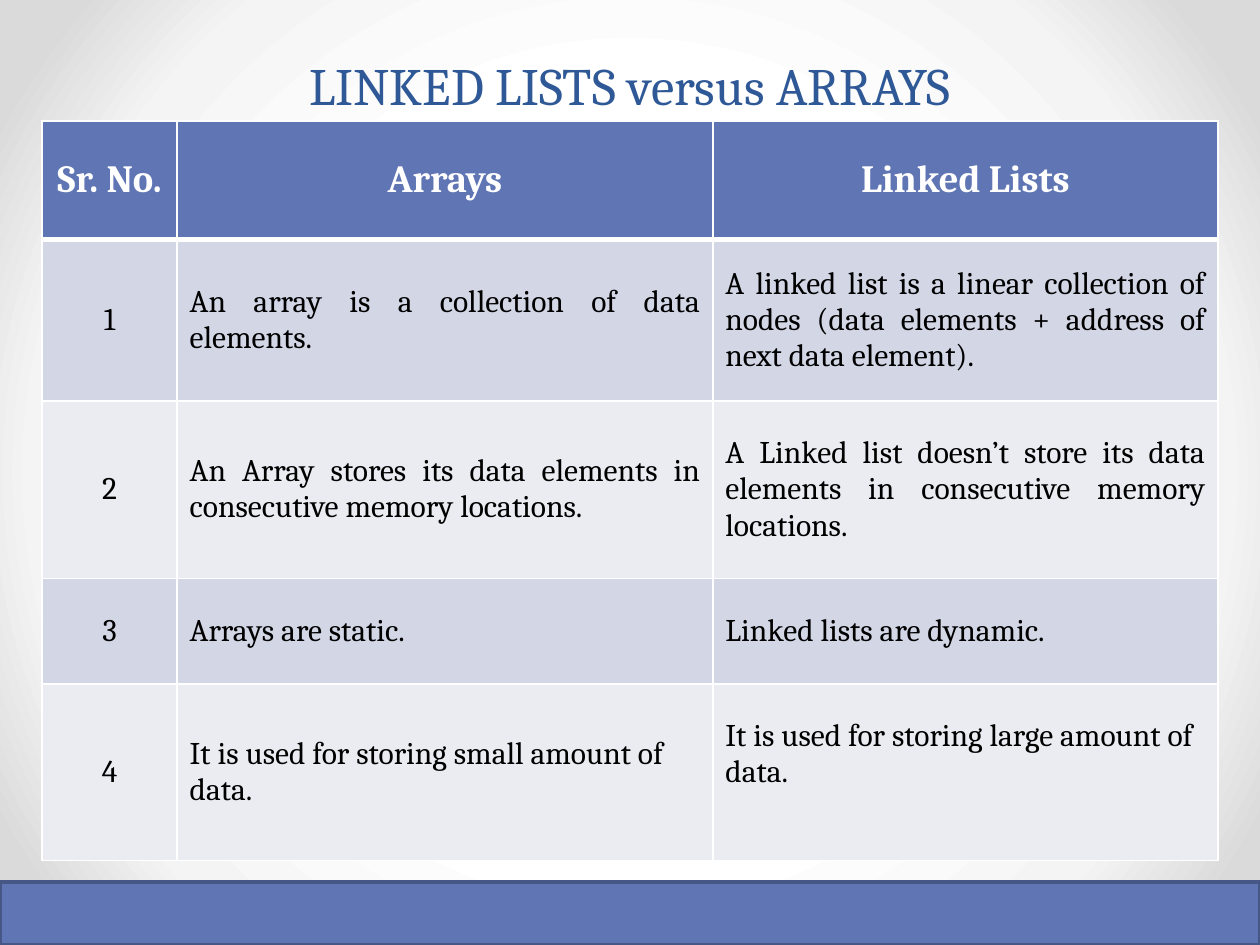
from lxml.etree import SubElement
from pptx import Presentation
from pptx.dml.color import RGBColor
from pptx.enum.shapes import MSO_SHAPE as Shape
from pptx.enum.text import MSO_ANCHOR as Anchor, MSO_AUTO_SIZE as AutoSize, PP_ALIGN as Align
from pptx.oxml import parse_xml
from pptx.oxml.ns import nsdecls, qn
from pptx.util import Cm, Pt

FONT = "Cambria"
WHITE = RGBColor(0xFF, 0xFF, 0xFF)
BLACK = RGBColor(0x00, 0x00, 0x00)
SILVER = RGBColor(0xF4, 0xF4, 0xF4)
GREY = RGBColor(0xDA, 0xDA, 0xDA)
TITLE_BLUE = RGBColor(0x2F, 0x58, 0x97)
BLUE = RGBColor(0x60, 0x76, 0xB4)
EDGE_BLUE = RGBColor(0x47, 0x57, 0x85)
BANDS = (RGBColor(0xD2, 0xD6, 0xE5), RGBColor(0xEA, 0xEC, 0xF2))

HEADINGS = ("Sr. No.", "Arrays", "Linked Lists")
COMPARISONS = (
    ("An array is a collection of data elements.",
     "A linked list is a linear collection of nodes (data elements + address of next data element).",
     Align.JUSTIFY),
    ("An Array stores its data elements in consecutive memory locations.",
     "A Linked list doesn’t store its data elements in consecutive memory locations.",
     Align.JUSTIFY),
    ("Arrays are static.", "Linked lists are dynamic.", Align.LEFT),
    ("It is used for storing small amount of data.",
     "It is used for storing large amount of data.", Align.LEFT),
)
COLUMN_WIDTHS = (2.72, 10.8, 10.18)
ROW_HEIGHTS = (2.39, 3.25, 3.58, 2.13, 3.56)


def add_text(paragraph, text, size, color, align, bold=False):
    paragraph.alignment = align
    run = paragraph.add_run()
    run.text = text
    run.font.name = FONT
    run.font.size = Pt(size)
    run.font.bold = bold
    run.font.color.rgb = color


def paint_background(slide):
    stops = "".join(
        f'<a:gs pos="{position * 1000}"><a:srgbClr val="{color}"/></a:gs>'
        for position, color in ((50, WHITE), (76, SILVER), (92, GREY)))
    slide.background.fill.solid()
    properties = slide.element.cSld.find(qn("p:bg")).find(qn("p:bgPr"))
    gradient = parse_xml(
        f'<a:gradFill {nsdecls("a")} rotWithShape="1"><a:gsLst>{stops}</a:gsLst>'
        '<a:path path="circle"><a:fillToRect l="50000" t="50000" r="50000" b="50000"/></a:path>'
        '</a:gradFill>')
    properties.replace(properties.find(qn("a:solidFill")), gradient)


def place_title(slide, left, top, width, height):
    title = slide.shapes.title
    title.left, title.top, title.width, title.height = left, top, width, height
    frame = title.text_frame
    frame.auto_size = AutoSize.NONE
    frame.vertical_anchor = Anchor.BOTTOM
    paragraph = frame.paragraphs[0]
    paragraph.line_spacing = Pt(58)
    add_text(paragraph, "LINKED LISTS versus ARRAYS", 30, TITLE_BLUE, Align.CENTER)


def set_borders(cell, widths):
    properties = cell._tc.get_or_add_tcPr()
    for index, (side, points) in enumerate(widths.items()):
        line = SubElement(properties, qn(f"a:ln{side}"), w=str(Pt(points)))
        fill = SubElement(line, qn("a:solidFill"))
        SubElement(fill, qn("a:srgbClr"), val=str(WHITE))
        properties.insert(index, line)


def add_comparison_table(slide, left, top, width, height):
    rows = [[(heading, Align.CENTER) for heading in HEADINGS]]
    for number, (array_text, list_text, align) in enumerate(COMPARISONS, 1):
        rows.append([(str(number), Align.CENTER), (array_text, align), (list_text, align)])
    table = slide.shapes.add_table(len(rows), len(HEADINGS), left, top, width, height).table
    for column, column_width in zip(table.columns, COLUMN_WIDTHS):
        column.width = Cm(column_width)
    for row_index, (row, row_height) in enumerate(zip(rows, ROW_HEIGHTS)):
        table.rows[row_index].height = Cm(row_height)
        is_header = row_index == 0
        for column_index, (text, align) in enumerate(row):
            cell = table.cell(row_index, column_index)
            cell.vertical_anchor = Anchor.MIDDLE
            cell.fill.solid()
            cell.fill.fore_color.rgb = BLUE if is_header else BANDS[(row_index - 1) % 2]
            set_borders(cell, {"L": 1, "R": 1,
                               "T": 3 if row_index == 1 else 1,
                               "B": 3 if is_header else 1})
            add_text(cell.text_frame.paragraphs[0], text, 22 if is_header else 18,
                     WHITE if is_header else BLACK, align, is_header)
    table.cell(len(rows) - 1, len(HEADINGS) - 1).margin_bottom = Cm(0.86)


def add_footer_bar(slide, left, top, width, height):
    bar = slide.shapes.add_shape(Shape.RECTANGLE, left, top, width, height)
    bar.shadow.inherit = False
    bar.fill.solid()
    bar.fill.fore_color.rgb = BLUE
    bar.line.color.rgb = EDGE_BLUE
    bar.line.width = Pt(2.25)


def main():
    presentation = Presentation()
    presentation.slide_width, presentation.slide_height = Cm(25.4), Cm(19.05)
    slide = presentation.slides.add_slide(presentation.slide_layouts[5])
    paint_background(slide)
    place_title(slide, Cm(1.27), Cm(0.74), Cm(22.86), Cm(1.73))
    add_comparison_table(slide, Cm(0.85), Cm(2.44), Cm(23.7), Cm(14.91))
    add_footer_bar(slide, Cm(0), Cm(17.78), Cm(25.4), Cm(1.27))
    presentation.save("out.pptx")


if __name__ == "__main__":
    main()
